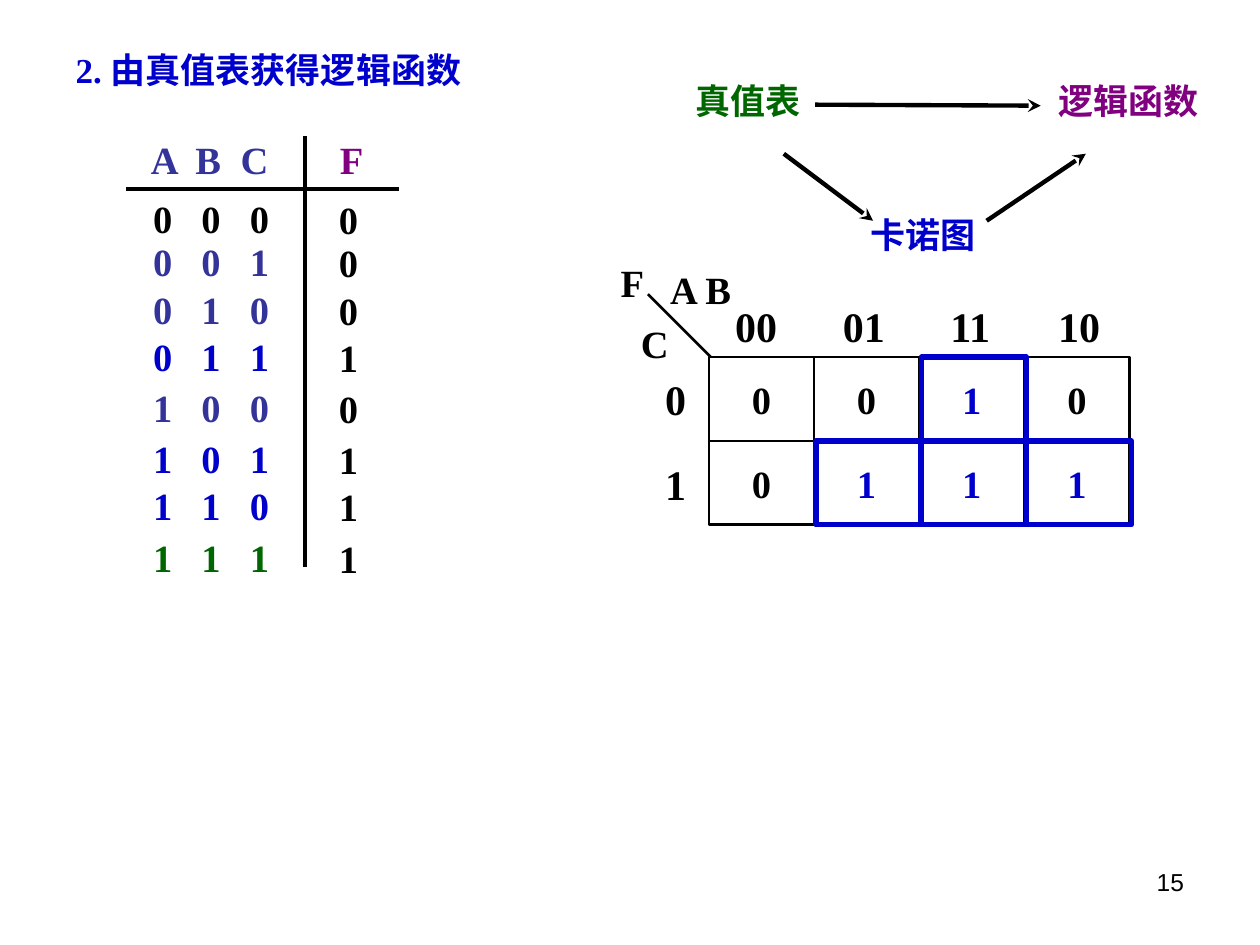
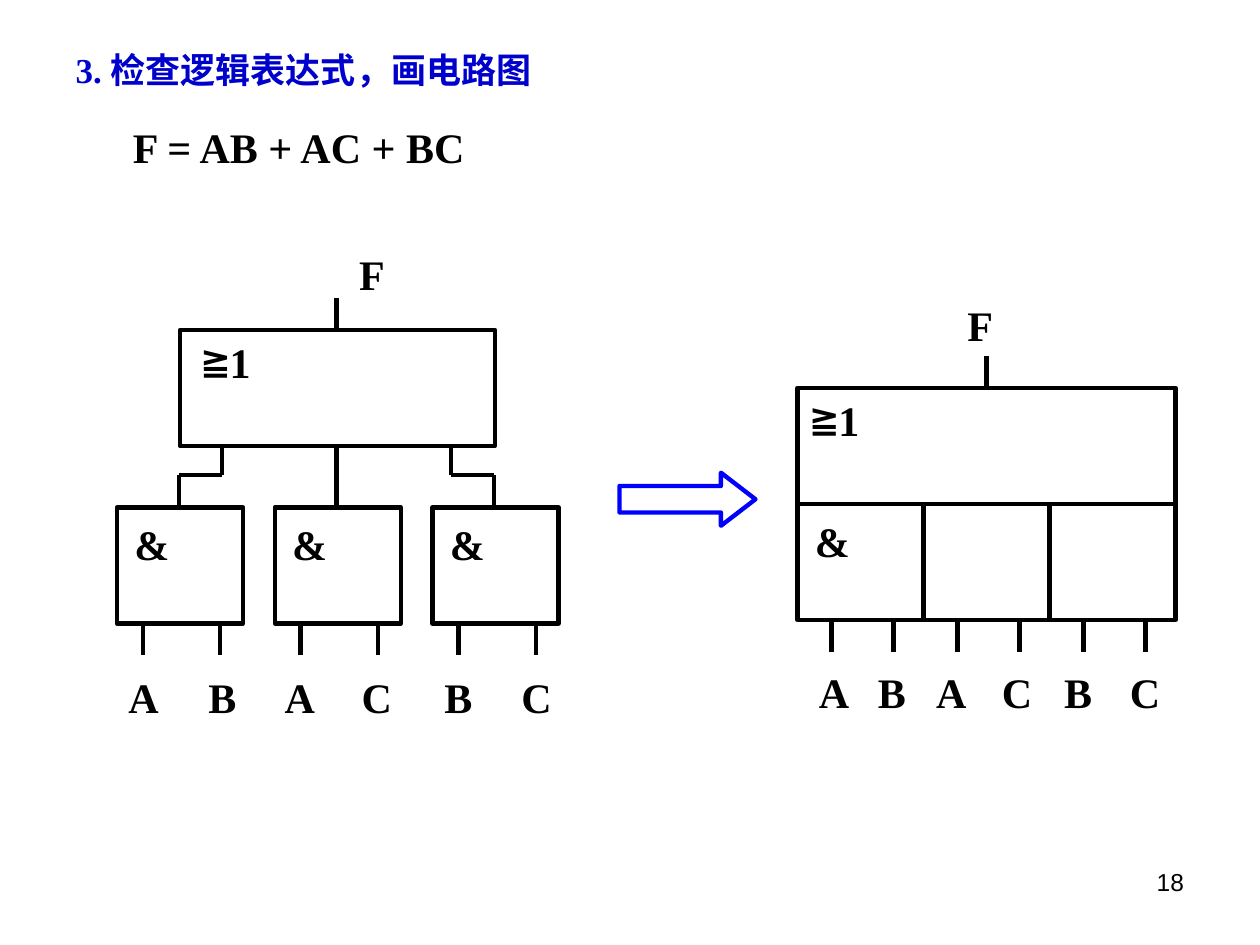
from lxml import etree
from pptx import Presentation
from pptx import util as u
from pptx.dml.color import RGBColor
from pptx.enum import shapes, text
from pptx.oxml.ns import qn

BLACK = RGBColor(0x00, 0x00, 0x00)
BLUE = RGBColor(0x00, 0x00, 0xCC)
ARROW_BLUE = RGBColor(0x00, 0x00, 0xFF)
INDIGO = RGBColor(0x33, 0x33, 0x99)
GREEN = RGBColor(0x00, 0x66, 0x00)
PURPLE = RGBColor(0x80, 0x00, 0x80)

GATE_WIDTH = 2.54
GATE_HEIGHT = 2.34
PIN_LENGTH = 0.64


def write(frame, words, size=22, color=BLACK, font="Times New Roman", bold=True,
          align=text.PP_ALIGN.LEFT, anchor=text.MSO_ANCHOR.TOP, tabs=()):
    """Put one formatted paragraph into a text frame, with tab stops in cm."""
    frame.word_wrap = True
    frame.auto_size = text.MSO_AUTO_SIZE.NONE
    frame.vertical_anchor = anchor
    para = frame.paragraphs[0]
    para.alignment = align
    if tabs:
        stops = etree.SubElement(para._p.get_or_add_pPr(), qn("a:tabLst"))
        for stop in tabs:
            etree.SubElement(stops, qn("a:tab"), pos=str(u.Cm(stop)), algn="l")
    span = para.add_run()
    span.text = words
    span.font.name = font
    span.font.size = u.Pt(size)
    span.font.bold = bold
    span.font.color.rgb = color


def add_text(page, words, x, y, width, size=22, **style):
    """Add a text box one line high for its type size."""
    height = size * 0.0423 + 0.26
    box = page.shapes.add_textbox(u.Cm(x), u.Cm(y), u.Cm(width), u.Cm(height))
    write(box.text_frame, words, size=size, **style)


def add_line(page, x1, y1, x2, y2, weight=2.5, arrow=False):
    """Draw a straight black line, with an arrowhead at its end if asked."""
    line = page.shapes.add_connector(
        shapes.MSO_CONNECTOR.STRAIGHT, u.Cm(x1), u.Cm(y1), u.Cm(x2), u.Cm(y2))
    line.line.color.rgb = BLACK
    line.line.width = u.Pt(weight)
    properties = line._element.spPr
    if arrow:
        etree.SubElement(properties.find(qn("a:ln")), qn("a:tailEnd"), type="stealth")
    etree.SubElement(properties, qn("a:effectLst"))


def add_outline(page, x, y, width, height, color=BLACK, weight=2.5,
                kind=shapes.MSO_SHAPE.RECTANGLE):
    """Draw an unfilled shape and return it."""
    shape = page.shapes.add_shape(kind, u.Cm(x), u.Cm(y), u.Cm(width), u.Cm(height))
    shape.shadow.inherit = False
    shape.fill.background()
    shape.line.color.rgb = color
    shape.line.width = u.Pt(weight)
    return shape


def add_page(deck, heading, heading_width, number):
    """Add a slide with its heading and page number."""
    page = deck.slides.add_slide(deck.slide_layouts[5])
    title = page.shapes.title
    title.left, title.top = u.Cm(1.27), u.Cm(0.85)
    title.width, title.height = u.Cm(heading_width), u.Cm(1.1)
    write(title.text_frame, heading, size=20, color=BLUE)
    add_text(page, number, 18.2, 17.35, 5.92, size=14, font="Arial", bold=False,
             align=text.PP_ALIGN.RIGHT)
    return page


def conversion_routes(page, x, y):
    """Show the direct and indirect routes from truth table to function."""
    for words, dx, dy, width, color in (
            ("真值表", 0, 0, 2.97, GREEN),
            ("逻辑函数", 7.31, 0, 3.48, PURPLE),
            ("卡诺图", 3.53, 2.7, 2.74, BLUE)):
        add_text(page, words, x + dx, y + dy, width, size=20, color=color)
    for x1, y1, x2, y2 in ((2.66, 0.64, 7.21, 0.66),
                           (2.03, 1.63, 3.83, 2.98),
                           (6.12, 2.98, 8.12, 1.63)):
        add_line(page, x + x1, y + y1, x + x2, y + y2, arrow=True)


def truth_table(page, x, y):
    """List the eight input rows and their outputs around a ruled cross."""
    add_text(page, "A\tB\tC", x + 0.25, y - 0.12, 2.97, color=INDIGO, tabs=(0.9, 1.81))
    add_text(page, "F", x + 4.06, y - 0.12, 1.27, color=PURPLE)
    add_line(page, x, y + 1.07, x + 5.51, y + 1.07)
    add_line(page, x + 3.61, y, x + 3.61, y + 8.69)
    for inputs, output, dy, color in (
            ("000", "0", 1.07, BLACK), ("001", "0", 1.93, INDIGO),
            ("010", "0", 2.9, INDIGO), ("011", "1", 3.84, BLUE),
            ("100", "0", 4.88, INDIGO), ("101", "1", 5.9, BLUE),
            ("110", "1", 6.86, BLUE), ("111", "1", 7.9, GREEN)):
        add_text(page, "\t".join(inputs), x + 0.3, y + dy, 3.18, color=color,
                 tabs=(0.97, 1.95))
        add_text(page, output, x + 4.04, y + dy + 0.02, 1.04)


def karnaugh_map(page, x, y):
    """Draw the two by four map and outline its ones."""
    width, height = 2.12, 1.69
    add_line(page, x + 0.04, y, x - 1.23, y - 1.27, weight=1.5)
    add_text(page, "F", x - 2.03, y - 2.11, 1.27)
    add_text(page, "A B", x - 1.03, y - 1.96, 1.9)
    add_text(page, "C", x - 1.62, y - 0.87, 1.07)
    for column, label in enumerate(("00", "01", "11", "10")):
        add_text(page, label, x + 0.28 + 2.17 * column, y - 1.27, 1.47, size=24)
    ones = []
    for row, values in enumerate(("0010", "0111")):
        add_text(page, str(row), x - 1.13, y + 0.2 + 1.72 * row, 1.27, size=24)
        for column, value in enumerate(values):
            left, top = x + width * column, y + height * row
            cell = add_outline(page, left, top, width, height, weight=1.5)
            write(cell.text_frame, value, color=BLUE if value == "1" else BLACK,
                  align=text.PP_ALIGN.CENTER, anchor=text.MSO_ANCHOR.MIDDLE)
            if value == "1":
                ones.append((left + 0.04, top))
    for left, top in ones:
        add_outline(page, left, top, width, height, color=BLUE, weight=3)


def or_gate(page, x, y, width, mark_x, stem_x, output_x, output_y):
    """Draw an OR gate with its output stem and label."""
    add_outline(page, x, y, width, GATE_HEIGHT)
    add_text(page, "≧1", x + mark_x, y, 3.1, size=24)
    add_line(page, x + stem_x, y, x + stem_x, y - PIN_LENGTH)
    add_text(page, "F", x + output_x, y + output_y, 1.07, size=24)


def and_gates(page, x, y, pitch, pins, marked):
    """Draw three AND gates in a row, each with two input pins."""
    for index in range(3):
        left = x + pitch * index
        bottom = y + GATE_HEIGHT
        add_outline(page, left, y, GATE_WIDTH, GATE_HEIGHT)
        if index < marked:
            add_text(page, "&", left + 0.1, y + 0.1, 1.07, size=24)
        for pin in pins:
            add_line(page, left + pin, bottom, left + pin, bottom + PIN_LENGTH)


def separate_gates(page, x, y):
    """Draw the circuit with one OR gate wired to three AND gates."""
    or_gate(page, x + 1.27, y, 6.35, 0.18, 3.15, 3.36, -1.77)
    and_gates(page, x, y + 3.58, 3.18, (0.52, 2.08), marked=3)
    for upper, lower in ((2.11, 1.25), (4.42, 4.42), (6.73, 7.6)):
        add_line(page, x + upper, y + GATE_HEIGHT, x + upper, y + 2.92)
        add_line(page, x + lower, y + 2.92, x + lower, y + 3.58)
        if upper != lower:
            add_line(page, x + upper, y + 2.92, x + lower, y + 2.92)
    add_text(page, "A\tB\tA\tC\tB\tC", x - 0.02, y + 6.76, 9.53, size=24,
             tabs=(1.61, 3.15, 4.7, 6.37, 7.92))


def combined_gates(page, x, y):
    """Draw the same circuit as one joined symbol."""
    and_gates(page, x, y + GATE_HEIGHT, GATE_WIDTH, (0.68, 1.93), marked=1)
    or_gate(page, x, y, 3 * GATE_WIDTH, 0, 3.81, 3.17, -1.9)
    add_text(page, "A\tB\tA\tC\tB\tC", x + 0.18, y + 5.49, 7.87, size=24,
             tabs=(1.19, 2.36, 3.69, 4.94, 6.27))


def truth_table_page(deck):
    """Build the slide that derives the function from a truth table."""
    page = add_page(deck, "2. 由真值表获得逻辑函数", 8.47, "15")
    conversion_routes(page, 13.77, 1.47)
    truth_table(page, 2.54, 2.74)
    karnaugh_map(page, 14.29, 7.2)


def circuit_page(deck):
    """Build the slide that turns the expression into a circuit."""
    page = add_page(deck, "3. 检查逻辑表达式，画电路图", 9.74, "18")
    add_text(page, "F = AB + AC + BC", 2.43, 2.33, 9.74, size=24)
    separate_gates(page, 2.36, 6.65)
    arrow = add_outline(page, 12.49, 9.53, 2.74, 1.07, color=ARROW_BLUE,
                        kind=shapes.MSO_SHAPE.RIGHT_ARROW)
    arrow.adjustments[0] = 0.5
    arrow.adjustments[1] = 0.65
    combined_gates(page, 16.08, 7.82)


def main():
    """Build and save the deck."""
    deck = Presentation()
    deck.slide_width, deck.slide_height = u.Cm(25.4), u.Cm(19.05)
    truth_table_page(deck)
    circuit_page(deck)
    deck.save("out.pptx")


if __name__ == "__main__":
    main()
